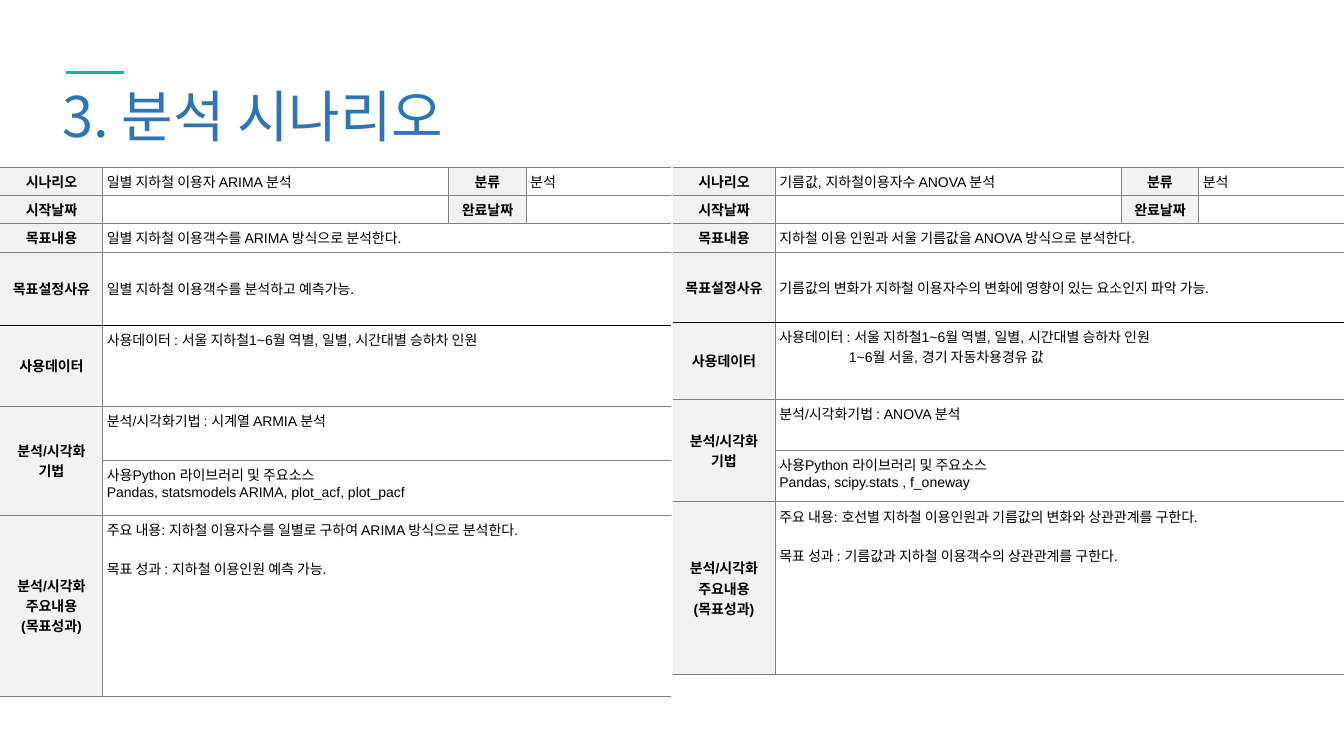
from dataclasses import dataclass
from lxml.etree import SubElement
from pptx import Presentation
from pptx.dml.color import RGBColor
from pptx.enum.shapes import MSO_CONNECTOR
from pptx.enum.text import MSO_ANCHOR, MSO_AUTO_SIZE, PP_ALIGN
from pptx.oxml.ns import qn
from pptx.util import Inches, Pt


@dataclass(frozen=True)
class Theme:
    title: str = "2E75B6"
    outline: str = "404040"
    accent: str = "1AB29D"
    text: str = "000000"
    label_fill: str = "F2F2F2"
    grid: str = "808080"
    divider: str = "000000"
    title_size: int = 40
    body_size: int = 10
    korean_font: str = "Noto Sans CJK KR"
    body_font: str = "Arial"


THEME = Theme()
COLUMNS = [1.02, 3.43, 0.77, 1.44]
DIVIDER_ROW = 3  # the heavier rule runs below this row
LABELS = {
    (0, 0): ["시나리오"], (0, 2): ["분류"],
    (1, 0): ["시작날짜"], (1, 2): ["완료날짜"],
    (2, 0): ["목표내용"],
    (3, 0): ["목표설정사유"],
    (4, 0): ["사용데이터"],
    (5, 0): ["분석/시각화 기법"],
    (7, 0): ["분석/시각화 주요내용", "(목표성과)"],
}
DATA_LINE = "사용데이터 : 서울 지하철1~6월 역별, 일별, 시간대별 승하차 인원"
LIBRARY_LINE = "사용Python 라이브러리 및 주요소스"
ARIMA = {
    (0, 1): ["일별 지하철 이용자 ARIMA 분석"], (0, 3): ["분석"],
    (2, 1): ["일별 지하철 이용객수를 ARIMA 방식으로 분석한다."],
    (3, 1): ["일별 지하철 이용객수를 분석하고 예측가능."],
    (4, 1): [DATA_LINE],
    (5, 1): ["분석/시각화기법 : 시계열 ARMIA 분석"],
    (6, 1): [LIBRARY_LINE, "Pandas, statsmodels ARIMA, plot_acf, plot_pacf"],
    (7, 1): ["주요 내용: 지하철 이용자수를 일별로 구하여 ARIMA 방식으로 분석한다.",
             "목표 성과 : 지하철 이용인원 예측 가능."],
}
ANOVA = {
    (0, 1): ["기름값, 지하철이용자수 ANOVA 분석"], (0, 3): ["분석"],
    (2, 1): ["지하철 이용 인원과 서울 기름값을 ANOVA 방식으로 분석한다."],
    (3, 1): ["기름값의 변화가 지하철 이용자수의 변화에 영향이 있는 요소인지 파악 가능."],
    (4, 1): [DATA_LINE, "1~6월 서울, 경기 자동차용경유 값"],
    (5, 1): ["분석/시각화기법 : ANOVA 분석"],
    (6, 1): [LIBRARY_LINE, "Pandas, scipy.stats , f_oneway"],
    (7, 1): ["주요 내용: 호선별 지하철 이용인원과 기름값의 변화와 상관관계를 구한다.",
             "목표 성과 : 기름값과 지하철 이용객수의 상관관계를 구한다."],
}


def apply_format(target, values):
    for name, value in values.items():
        setattr(target, name, value)


def style_span(span, font, size, color, bold=False):
    apply_format(span.font, {"name": font, "size": Pt(size), "bold": bold})
    span.font.color.rgb = RGBColor.from_string(color)
    SubElement(span.font._element, qn("a:ea"), typeface=THEME.korean_font)


def add_title(page, text):
    box = page.shapes.title
    apply_format(box, {"left": Inches(0.52), "top": Inches(0.76),
                       "width": Inches(4.19), "height": Inches(0.77)})
    apply_format(box.text_frame, {"word_wrap": False, "auto_size": MSO_AUTO_SIZE.NONE,
                                  "vertical_anchor": MSO_ANCHOR.MIDDLE})
    para = box.text_frame.paragraphs[0]
    para.alignment = PP_ALIGN.LEFT
    span = para.add_run()
    span.text = text
    style_span(span, THEME.korean_font, THEME.title_size, THEME.title)
    # Faint outline around the letters
    outline = span.font._element.makeelement(qn("a:ln"), {"w": str(Pt(0.75))})
    span.font._element.insert(0, outline)
    fill = SubElement(outline, qn("a:solidFill"))
    color = SubElement(fill, qn("a:srgbClr"), val=THEME.outline)
    SubElement(color, qn("a:alpha"), val="30000")


def add_accent(page):
    line = page.shapes.add_connector(MSO_CONNECTOR.STRAIGHT, Inches(1.23), Inches(0.72),
                                     Inches(0.65), Inches(0.72))
    line.line.color.rgb = RGBColor.from_string(THEME.accent)
    line.line.width = Pt(2)
    SubElement(line._element.spPr, qn("a:effectLst"))


def add_borders(cell, row, column):
    properties = cell._tc.get_or_add_tcPr()
    rules = {
        "L": (THEME.grid, 0.75) if column else None,
        "R": (THEME.grid, 0.75) if column < 3 and not (column and row > 1) else None,
        "T": (THEME.divider, 1) if row == DIVIDER_ROW + 1 else (THEME.grid, 0.75),
        "B": (THEME.divider, 1) if row == DIVIDER_ROW else (THEME.grid, 0.75),
    }
    for side, rule in rules.items():
        if cell.is_spanned and side != "B":
            continue
        color, width = rule or (None, 0)
        border = SubElement(properties, qn(f"a:ln{side}"), w=str(Pt(width)))
        if color:
            fill = SubElement(border, qn("a:solidFill"))
            SubElement(fill, qn("a:srgbClr"), val=color)
        else:
            SubElement(border, qn("a:noFill"))


def write_cell(cell, lines, is_label, row):
    centred = is_label or row == DIVIDER_ROW
    margin = Inches(0.04)
    apply_format(cell, {
        "margin_left": margin, "margin_right": margin,
        "margin_top": margin, "margin_bottom": margin,
        "vertical_anchor": MSO_ANCHOR.MIDDLE if centred else MSO_ANCHOR.TOP})
    for index, text in enumerate(lines):
        para = cell.text_frame.add_paragraph() if index else cell.text_frame.paragraphs[0]
        para.alignment = PP_ALIGN.CENTER if is_label else PP_ALIGN.LEFT
        if index and not is_label and row == 7:
            para.space_before = Pt(14)
        if index and row == 4:
            para._p.get_or_add_pPr().set("marL", str(Inches(0.69)))
        span = para.add_run()
        span.text = text
        style_span(span, THEME.body_font, THEME.body_size, THEME.text, is_label)
    if not lines:
        # Keeps empty cells as low as the filled ones
        SubElement(cell.text_frame.paragraphs[0]._p, qn("a:endParaRPr"),
                   sz=str(THEME.body_size * 100))


def add_scenario(page, left, heights, content):
    frame = page.shapes.add_table(len(heights), len(COLUMNS), Inches(left), Inches(1.66),
                                  Inches(sum(COLUMNS)), Inches(sum(heights)))
    table = frame.table
    apply_format(table, {"first_row": False, "horz_banding": False})
    for column, width in zip(table.columns, COLUMNS):
        column.width = Inches(width)
    for row, height in zip(table.rows, heights):
        row.height = Inches(height)

    # Wide content cells and the two-row method label
    for row in range(2, len(heights)):
        table.cell(row, 1).merge(table.cell(row, 3))
    table.cell(5, 0).merge(table.cell(6, 0))

    texts = LABELS | content
    for row in range(len(heights)):
        for column in range(len(COLUMNS)):
            cell = table.cell(row, column)
            is_label = (row, column) in LABELS
            write_cell(cell, texts.get((row, column), []), is_label, row)
            add_borders(cell, row, column)
            if is_label:
                cell.fill.solid()
                cell.fill.fore_color.rgb = RGBColor.from_string(THEME.label_fill)
            else:
                cell.fill.background()


def main():
    deck = Presentation()
    apply_format(deck, {"slide_width": Inches(13.33), "slide_height": Inches(7.5)})
    page = deck.slides.add_slide(deck.slide_layouts[5])
    add_title(page, "3. 분석 시나리오")
    add_accent(page)
    add_scenario(page, 0, [0.25] * 3 + [0.73, 0.8, 0.54, 0.54, 1.8], ARIMA)
    add_scenario(page, 6.67, [0.25] * 3 + [0.7, 0.76, 0.51, 0.51, 1.71], ANOVA)
    deck.save("out.pptx")


if __name__ == "__main__":
    main()
